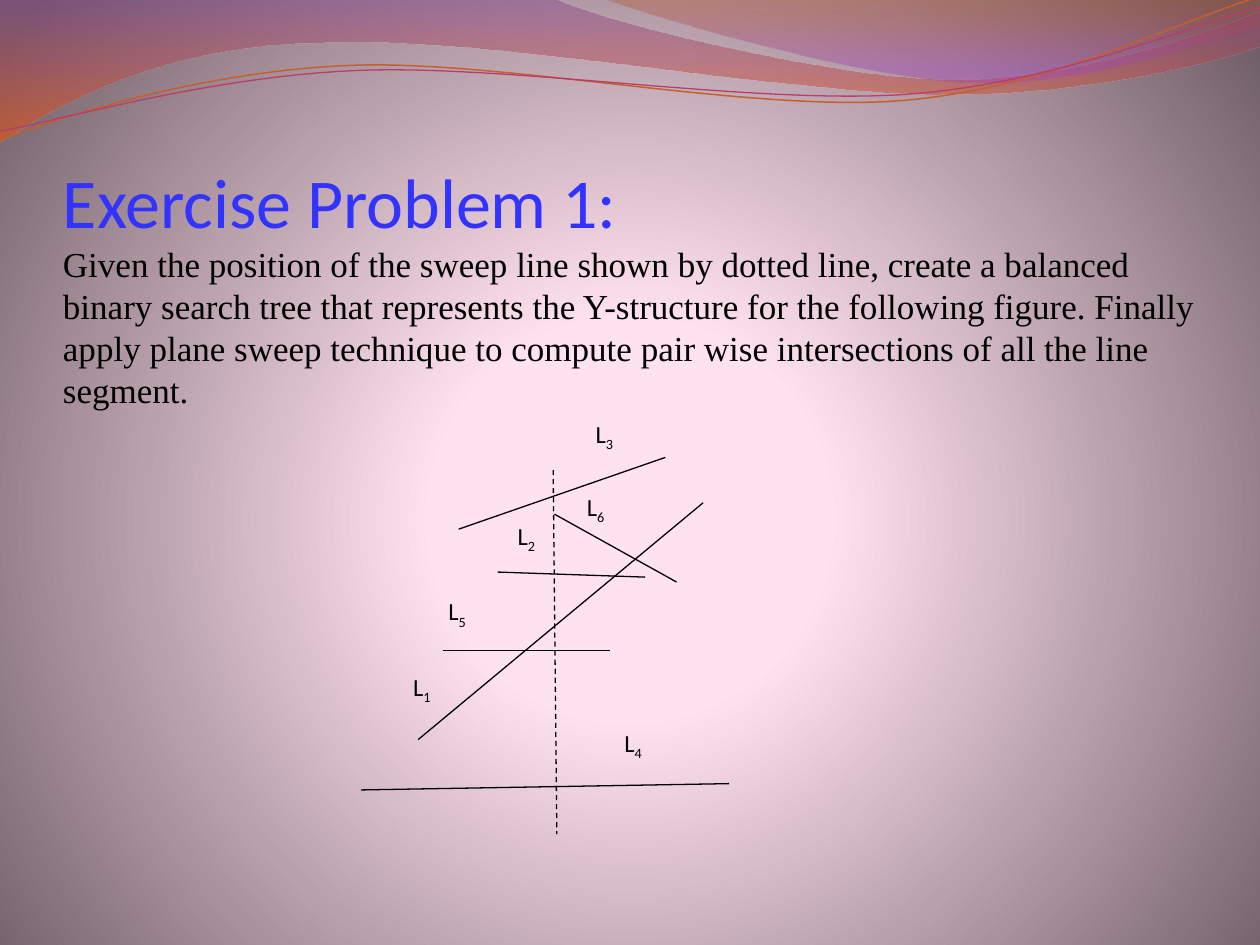
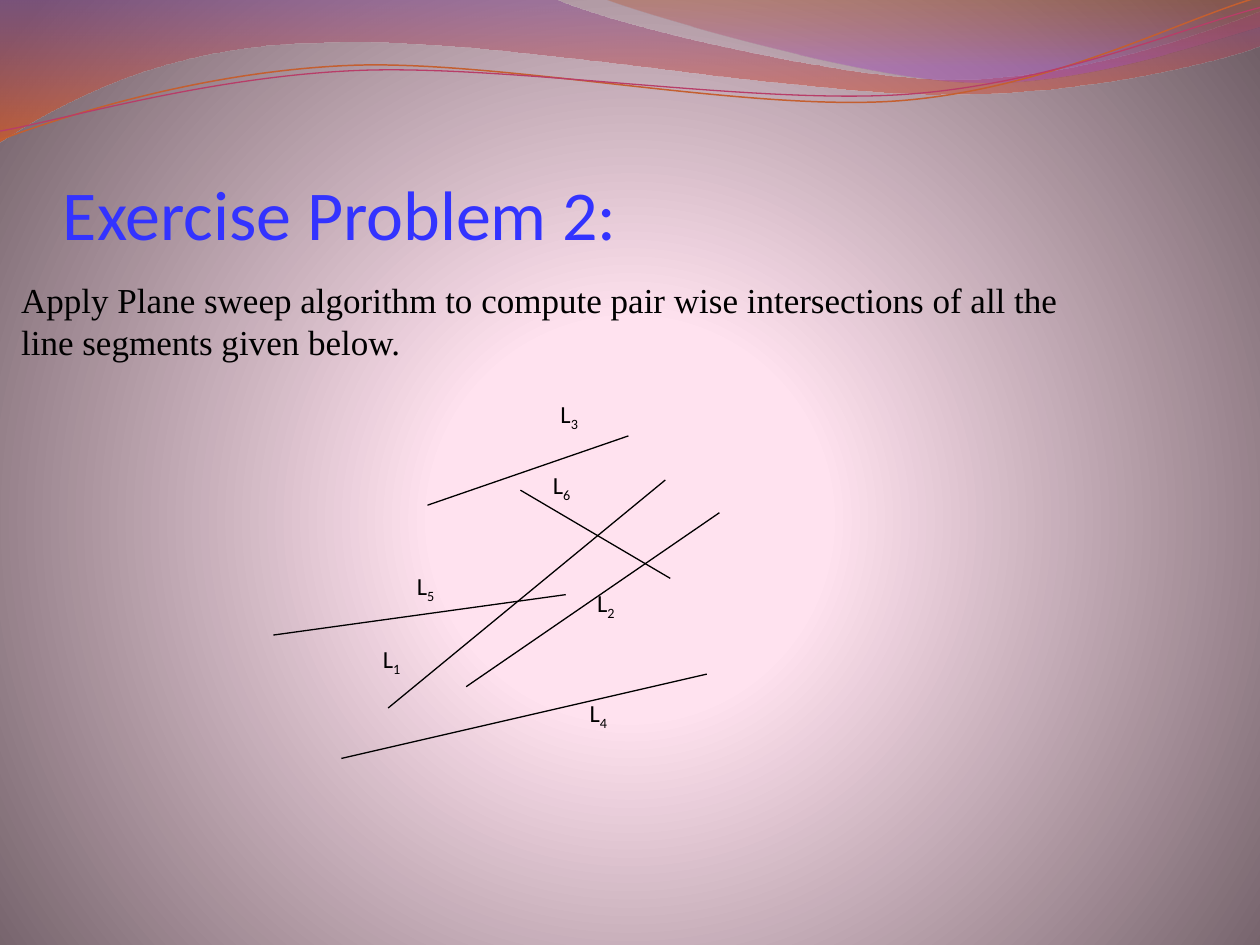
from dataclasses import dataclass
from math import cos, radians, sin

from lxml import etree
from pptx import Presentation
from pptx.dml.color import RGBColor
from pptx.enum.dml import MSO_LINE
from pptx.enum.shapes import MSO_CONNECTOR
from pptx.enum.text import MSO_ANCHOR
from pptx.oxml.ns import qn
from pptx.util import Pt

STRAIGHT, DASH = MSO_CONNECTOR.STRAIGHT, MSO_LINE.DASH
TOP, MIDDLE, BOTTOM = MSO_ANCHOR.TOP, MSO_ANCHOR.MIDDLE, MSO_ANCHOR.BOTTOM


@dataclass(frozen=True)
class Theme:
    heading_color: str = "3333FF"
    ink: str = "000000"
    heading_font: str = "Calibri"
    body_font: str = "Times New Roman"
    heading_size: float = 40
    body_size: float = 20
    body_leading: float = 24
    label_size: float = 14
    label_space_after: float = 10
    segment_width: float = 0.75
    # Gradient stops: position %, colour, opacity %
    backdrop: tuple = ((0, "FFE3F0", 100), (25, "FFE2EF", 100), (100, "715F67", 100))
    wide_wave: tuple = ((0, "834591", 45), (100, "F35307", 55))
    corner_wave: tuple = ((0, "B74915", 30), (80, "A14BB4", 45))


THEME = Theme()
SLIDE_SIZE = (720, 540)
RIPPLE_TILT = 2.7

# Wave outlines: two numbers draw a straight edge, six a Bézier curve
WAVES = [
    (THEME.wide_wave, (0, -0.7), [
        (316.8, -0.7),
        (342.7, 12.2, 478.1, 45.4, 545.8, 45.4),
        (614.2, 45.4, 689.8, 18.7, 720, 6.5),
        (720.7, 25.9),
        (707.8, 31.7, 626.4, 54.7, 537.1, 54),
        (447.8, 54, 275, 20.2, 185, 24.5),
        (92.9, 25.2, 33.1, 59.8, -0.7, 81.4),
        (0, -0.7)]),
    (THEME.corner_wave, (344.9, -0.7), [
        (366.5, 7.9, 491, 44.6, 553.7, 46.8),
        (616.3, 49.7, 691.9, 23, 720, 15.1),
        (720, 0),
        (344.9, -0.7)]),
]
# Ripples: colour, width, centre of the tilt, start, curves
RIPPLES = [
    ("C45F30", 0.85, (359.3, 41.4), (0, 79.9), [
        (34.6, 67, 113.8, 41, 199.4, 37.4),
        (284.4, 33.8, 427, 64.1, 513.4, 57.6),
        (599.8, 51.1, 675.4, 10.8, 718.6, -1.4)]),
    ("B83D68", 0.75, (359.6, 42.5), (0, 74.9), [
        (33.8, 69.1, 118.1, 43.9, 203.8, 40.3),
        (290.2, 36.7, 429.8, 59.8, 516.2, 54),
        (601.9, 48.2, 677.5, 15.1, 720, 4.3)]),
]

HEADING, BODY = "heading", "body"

# Each text: box, anchor, insets (left, top, right, bottom), paragraphs
# Each segment: subscript -> (end points, label box)
EXERCISES = [
    {
        "texts": [
            ((36, 168.5, 648, 90), BOTTOM, (0, 3.6, 0, 24), [
                (HEADING, "Exercise Problem 1:"),
                (BODY, "Given the position of the sweep line shown by dotted line, "
                       "create a balanced binary search tree that represents the "
                       "Y-structure for the following figure. Finally apply plane "
                       "sweep technique to compute pair wise intersections of all "
                       "the line segment.")]),
        ],
        "sweep_line": (316.1, 268.6, 318.2, 476.6),
        "segments": {
            "1": ((239, 422.6, 401.8, 287.3), (229, 380.6, 37.4, 46.8)),
            "2": ((284.4, 326.9, 368.6, 329.8), (288.7, 294, 35.3, 40.3)),
            "3": ((262.1, 302.4, 380.2, 261.4), (333.2, 236, 42.5, 41)),
            "4": ((206.4, 451.4, 416.7, 447.8), (349.7, 412.6, 49.7, 41)),
            "5": ((253.4, 371.7, 348.5, 371.7), (249.1, 337.3, 36, 39.6)),
            "6": ((316.8, 293.8, 386.6, 332.6), (328.3, 277.6, 33.8, 42.5)),
        },
    },
    {
        "texts": [
            ((36, 55.4, 648, 90), BOTTOM, (0, 3.6, 0, 0), [
                (HEADING, "Exercise Problem 2:")]),
            ((5, 155.5, 615.6, 77.8), MIDDLE, (7.2, 3.6, 7.2, 26), [
                (BODY, "Apply Plane sweep algorithm to compute pair wise "
                       "intersections of all the"),
                (BODY, "line segments given below.")]),
        ],
        "sweep_line": None,
        "segments": {
            "1": ((221.8, 404.6, 380.2, 274.3), (211.7, 364.3, 36.7, 45.4)),
            "2": ((266.4, 392.4, 411.1, 293), (334.1, 332.6, 34.6, 38.9)),
            "3": ((244.3, 288.7, 359.1, 249.1), (313.2, 224.6, 41, 39.6)),
            "4": ((195.1, 433.4, 403.9, 385.2), (329.8, 395.3, 49, 39.6)),
            "5": ((156.2, 362.9, 323.3, 339.8), (231.1, 322.6, 34.6, 38.2)),
            "6": ((297.4, 280.1, 383, 330.5), (308.9, 265, 33.1, 41)),
        },
    },
]


def points(lengths):
    return [Pt(length) for length in lengths]


def paint_gradient(fill, element, stops, radial=False):
    """Give the fill its stops, running downwards or out from the middle."""
    fill.gradient()
    gradient = element.find(".//" + qn("a:gradFill"))
    for child in list(gradient):
        gradient.remove(child)
    stop_list = etree.SubElement(gradient, qn("a:gsLst"))
    for position, color, opacity in stops:
        stop = etree.SubElement(stop_list, qn("a:gs"), pos=str(position * 1000))
        tint = etree.SubElement(stop, qn("a:srgbClr"), val=color)
        if opacity < 100:
            etree.SubElement(tint, qn("a:alpha"), val=str(opacity * 1000))
    if radial:
        circle = etree.SubElement(gradient, qn("a:path"), path="circle")
        etree.SubElement(circle, qn("a:fillToRect"),
                         l="10000", t="110000", r="10000", b="100000")
    else:
        etree.SubElement(gradient, qn("a:lin"), ang="5400000", scaled="0")


def pairs(move):
    return list(zip(move[::2], move[1::2]))


def level(move, center):
    """Turn the points of a move by the ripple tilt, so the shape can turn back."""
    angle = radians(RIPPLE_TILT)
    turned = []
    for x, y in pairs(move):
        across, down = x - center[0], y - center[1]
        turned += [center[0] + across * cos(angle) - down * sin(angle),
                   center[1] + across * sin(angle) + down * cos(angle)]
    return tuple(turned)


def add_outline(shapes, start, moves, close):
    builder = shapes.build_freeform(*points(start))
    builder.add_line_segments([points(move[-2:]) for move in moves], close=close)
    shape = builder.convert_to_shape()
    shape.shadow.inherit = False
    # Bend the edges that have control points
    edges = list(shape.element.iter(qn("a:lnTo")))
    for edge, move in zip(edges, moves):
        if len(move) == 6:
            curve = etree.Element(qn("a:cubicBezTo"))
            for x, y in pairs(move):
                etree.SubElement(curve, qn("a:pt"),
                                 x=str(Pt(x) - shape.left), y=str(Pt(y) - shape.top))
            edge.getparent().replace(edge, curve)
    return shape


def add_backdrop(page):
    paint_gradient(page.background.fill, page.element, THEME.backdrop, radial=True)
    for stops, start, moves in WAVES:
        wave = add_outline(page.shapes, start, moves, close=True)
        paint_gradient(wave.fill, wave.element, stops)
        wave.line.fill.background()
    ripples = page.shapes.add_group_shape().shapes
    for color, width, center, start, moves in RIPPLES:
        ripple = add_outline(ripples, level(start, center),
                             [level(move, center) for move in moves], close=False)
        ripple.rotation = 360 - RIPPLE_TILT
        ripple.fill.background()
        ripple.line.color.rgb = RGBColor.from_string(color)
        ripple.line.width = Pt(width)


def add_box(shapes, place, anchor=TOP, insets=(7.2, 3.6, 7.2, 3.6)):
    frame = shapes.add_textbox(*points(place)).text_frame
    frame.word_wrap = True
    frame.vertical_anchor = anchor
    (frame.margin_left, frame.margin_top,
     frame.margin_right, frame.margin_bottom) = points(insets)
    return frame


def add_span(para, text, font, size, color):
    span = para.add_run()
    span.text = text
    span.font.name = font
    span.font.size = Pt(size)
    span.font.color.rgb = RGBColor.from_string(color)
    return span


def add_text(page, place, anchor, insets, lines):
    frame = add_box(page.shapes, place, anchor, insets)
    for index, (role, text) in enumerate(lines):
        para = frame.add_paragraph() if index else frame.paragraphs[0]
        if role == HEADING:
            add_span(para, text, THEME.heading_font, THEME.heading_size, THEME.heading_color)
        else:
            para.line_spacing = Pt(THEME.body_leading)
            add_span(para, text, THEME.body_font, THEME.body_size, THEME.ink)


def add_segment(shapes, ends):
    segment = shapes.add_connector(STRAIGHT, *points(ends))
    segment.line.color.rgb = RGBColor.from_string(THEME.ink)
    segment.line.width = Pt(THEME.segment_width)
    etree.SubElement(segment.element.spPr, qn("a:effectLst"))
    return segment


def add_label(shapes, place, subscript):
    para = add_box(shapes, place).paragraphs[0]
    para.space_after = Pt(THEME.label_space_after)
    look = (THEME.heading_font, THEME.label_size, THEME.ink)
    add_span(para, "L", *look)
    lowered = add_span(para, subscript, *look)
    lowered.font._element.set("baseline", "-25000")


def main():
    deck = Presentation()
    deck.slide_width, deck.slide_height = points(SLIDE_SIZE)
    blank = deck.slide_layouts[6]
    for exercise in EXERCISES:
        page = deck.slides.add_slide(blank)
        add_backdrop(page)
        for text in exercise["texts"]:
            add_text(page, *text)
        # Figure: sweep line, then each segment with its label
        figure = page.shapes.add_group_shape().shapes
        if exercise["sweep_line"]:
            add_segment(figure, exercise["sweep_line"]).line.dash_style = DASH
        for subscript, (ends, place) in exercise["segments"].items():
            add_segment(figure, ends)
            add_label(figure, place, subscript)
    deck.save("out.pptx")


if __name__ == "__main__":
    main()
